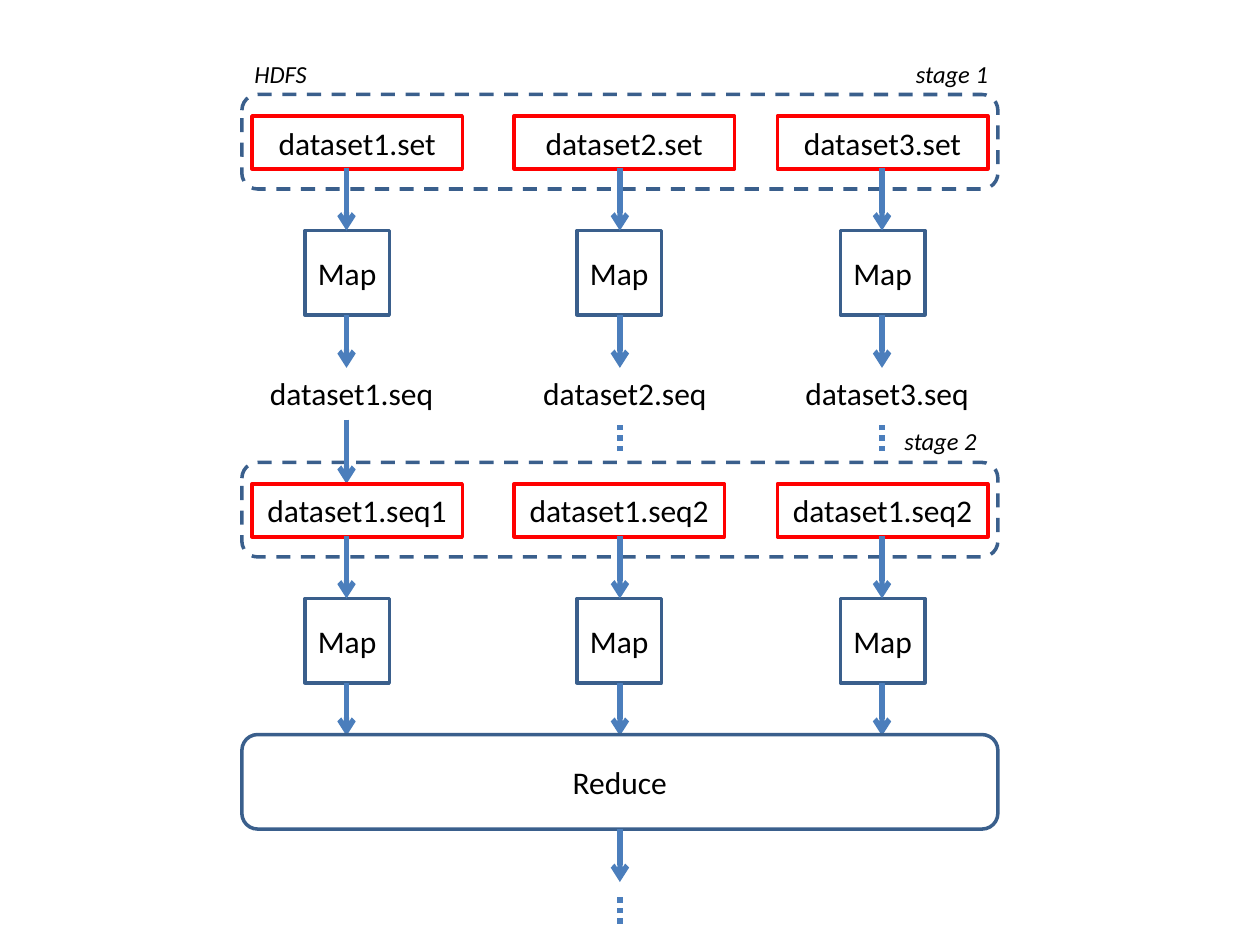
import pptx
import pptx.util
import pptx.dml.color
import pptx.enum.dml
import pptx.enum.shapes
import pptx.enum.text
import pptx.oxml
import pptx.oxml.ns

Inches = pptx.util.Inches
Kind = pptx.enum.shapes.MSO_SHAPE
Dash = pptx.enum.dml.MSO_LINE
Align = pptx.enum.text.PP_ALIGN
HUES = {"paper": "FFFFFF", "ink": "000000", "frame": "3A5F8C", "data": "FF0000", "flow": "4B7EBC"}
BODY = {"name": "Calibri", "size": pptx.util.Pt(18)}
NOTE = {"name": "Calibri", "size": pptx.util.Pt(14), "italic": True}
BOX_LEFTS = (2, 4.08, 6.17)
SEQ_LEFTS = (2, 4.17, 6.25)
MAP_LEFTS = (2.42, 4.58, 6.67)
AXES = (2.75, 4.92, 7)
LEFT, WIDE, TALL = 1.92, 6, 0.75


def hue(name):
    return pptx.dml.color.RGBColor.from_string(HUES[name])


def node(tag, extra=""):
    """Make an empty drawing element."""
    return pptx.oxml.parse_xml(f'<a:{tag} {pptx.oxml.ns.nsdecls("a")} {extra}/>')


class Board:
    """Holds the style and the slide being drawn."""

    def __init__(self, deck):
        self.slide = deck.slides.add_slide(deck.slide_layouts[6])

    def letter(self, shape, text, style, align):
        """Set one styled paragraph in a shape."""
        shape.text_frame.word_wrap = True
        para = shape.text_frame.paragraphs[0]
        para.alignment = align
        run = para.add_run()
        run.text = text
        for key, value in style.items():
            setattr(run.font, key, value)
        run.font.color.rgb = hue("ink")

    def stroke(self, line, color, width, dash=None):
        line.color.rgb = hue(color)
        line.width = pptx.util.Pt(width)
        if dash:
            line.dash_style = dash

    def box(self, x, y, w, h, text="", kind=Kind.RECTANGLE, color="frame", dash=None):
        shape = self.slide.shapes.add_shape(kind, Inches(x), Inches(y), Inches(w), Inches(h))
        shape.shadow.inherit = False
        shape.fill.solid()
        shape.fill.fore_color.rgb = hue("paper")
        self.stroke(shape.line, color, 2, dash)
        if text:
            self.letter(shape, text, BODY, Align.CENTER)
            shape.text_frame.vertical_anchor = pptx.enum.text.MSO_ANCHOR.MIDDLE

    def label(self, x, y, w, h, text, style=NOTE, align=Align.LEFT):
        shape = self.slide.shapes.add_textbox(Inches(x), Inches(y), Inches(w), Inches(h))
        self.letter(shape, text, style, align)
        shape.text_frame.auto_size = pptx.enum.text.MSO_AUTO_SIZE.SHAPE_TO_FIT_TEXT

    def link(self, x, top, end, dash=None):
        """Draw an upright line: an arrow, or a plain one when dashed."""
        line = self.slide.shapes.add_connector(
            pptx.enum.shapes.MSO_CONNECTOR.STRAIGHT, Inches(x), Inches(top), Inches(x), Inches(end))
        self.stroke(line.line, "flow", 3, dash)
        props = line._element.spPr
        if not dash:
            props.find(pptx.oxml.ns.qn("a:ln")).append(node("tailEnd", 'type="arrow"'))
        props.append(node("effectLst"))

    def dots(self, x, top):
        self.link(x, top + 0.25, top, Dash.ROUND_DOT)

    def stage(self, top, names, widths, feed=None):
        """Draw the framed data sets, the maps below and the arrows between."""
        self.box(LEFT, top, WIDE, TALL, kind=Kind.ROUNDED_RECTANGLE, dash=Dash.DASH)
        row = top + 0.17
        if feed:
            self.link(AXES[0], feed, row)
        for name, x, wide in zip(names, BOX_LEFTS, widths):
            self.box(x, row, wide, 0.42, name, color="data")
        for x, axis in zip(MAP_LEFTS, AXES):
            self.box(x, top + 1.08, 0.67, 0.67, "Map")
            self.link(axis, top + 0.58, top + 1.08)
            self.link(axis, top + 1.75, top + 2.17)


def main():
    deck = pptx.Presentation()
    deck.slide_width, deck.slide_height = Inches(10), Inches(7.5)
    board = Board(deck)

    board.stage(0.75, [f"dataset{n}.set" for n in (1, 2, 3)], (1.67, 1.75, 1.67))
    for n, x in enumerate(SEQ_LEFTS, 1):
        board.label(x, 2.92, 1.58, 0.4, f"dataset{n}.seq", BODY, Align.CENTER)

    board.stage(3.67, [f"dataset1.seq{n}" for n in (1, 2, 2)], (1.67,) * 3, feed=3.33)
    for axis in AXES[1:]:
        board.dots(axis, 3.33)

    board.box(LEFT, 5.83, WIDE, TALL, "Reduce", Kind.ROUNDED_RECTANGLE)
    board.link(AXES[1], 6.58, 7)
    board.dots(AXES[1], 7.08)

    board.label(LEFT, 0.42, 0.75, 0.34, "HDFS")
    board.label(7.17, 0.42, 0.92, 0.34, "stage 1")
    board.label(7.08, 3.33, 0.92, 0.34, "stage 2")
    deck.save("out.pptx")


if __name__ == "__main__":
    main()
